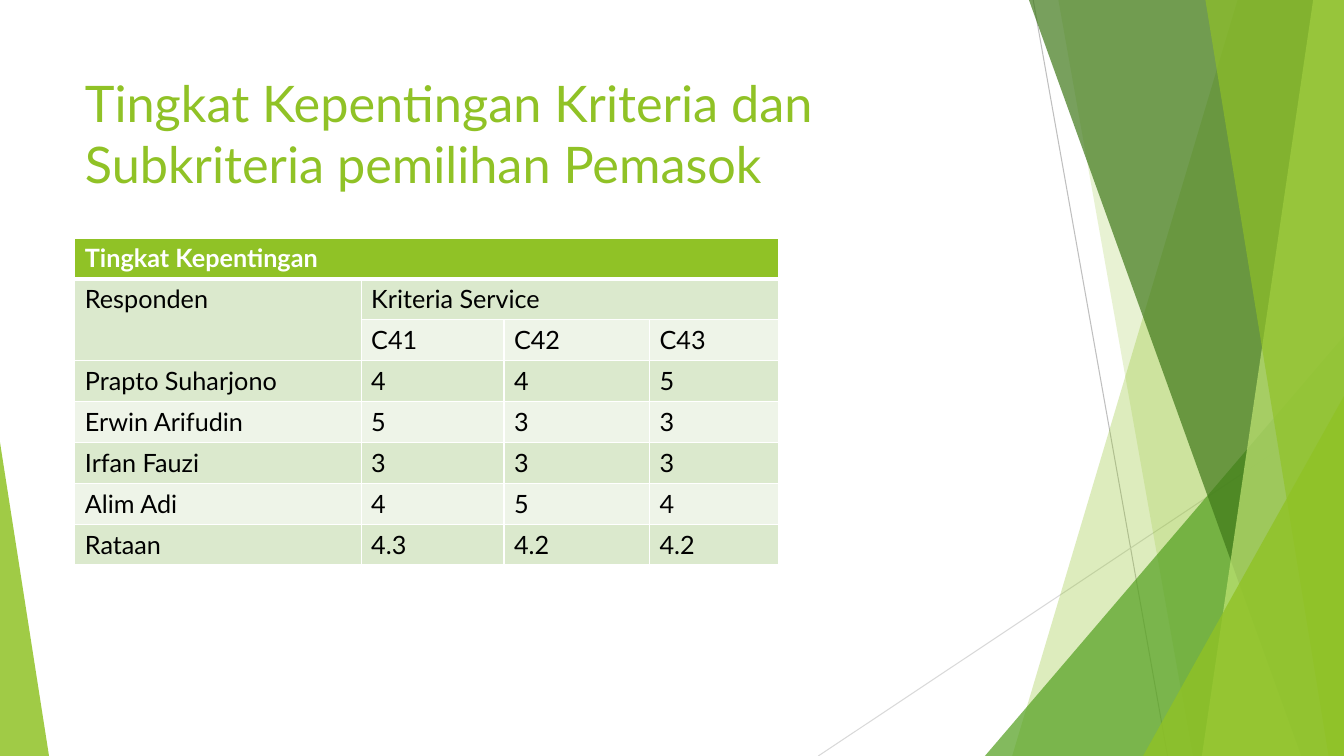
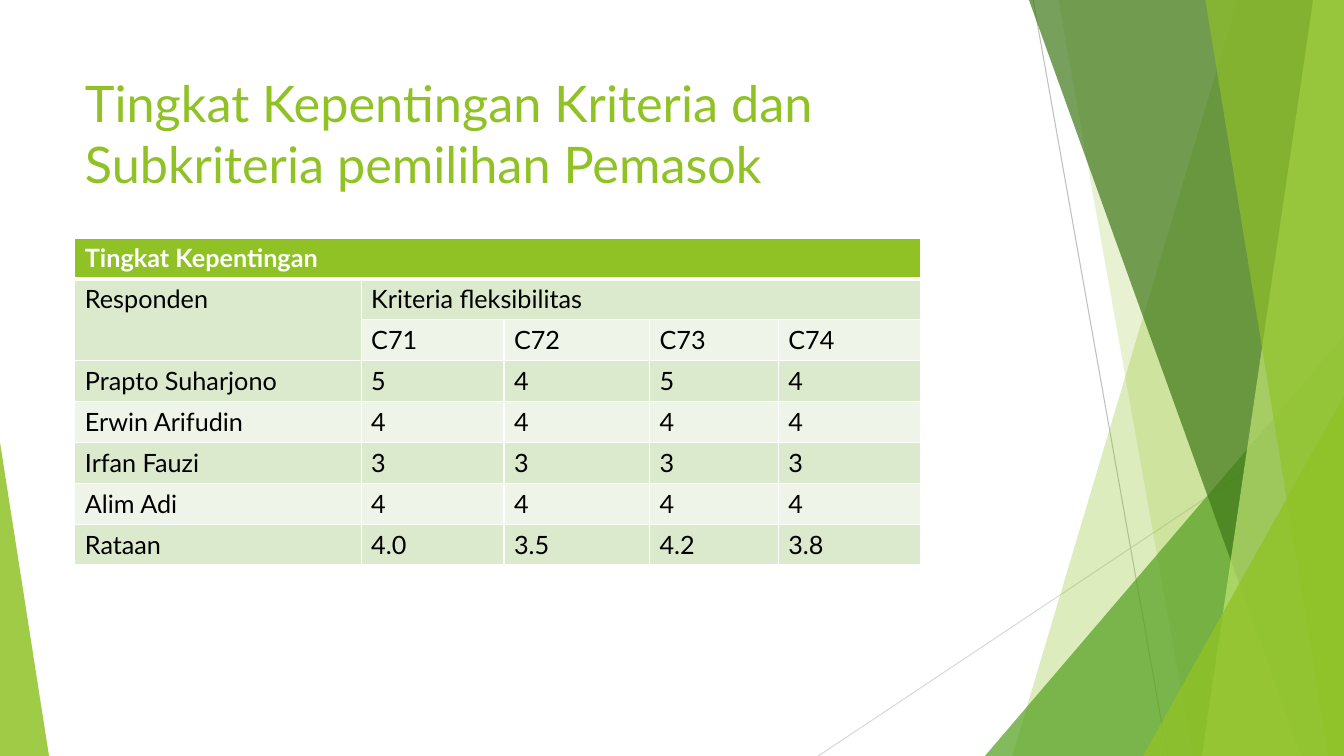
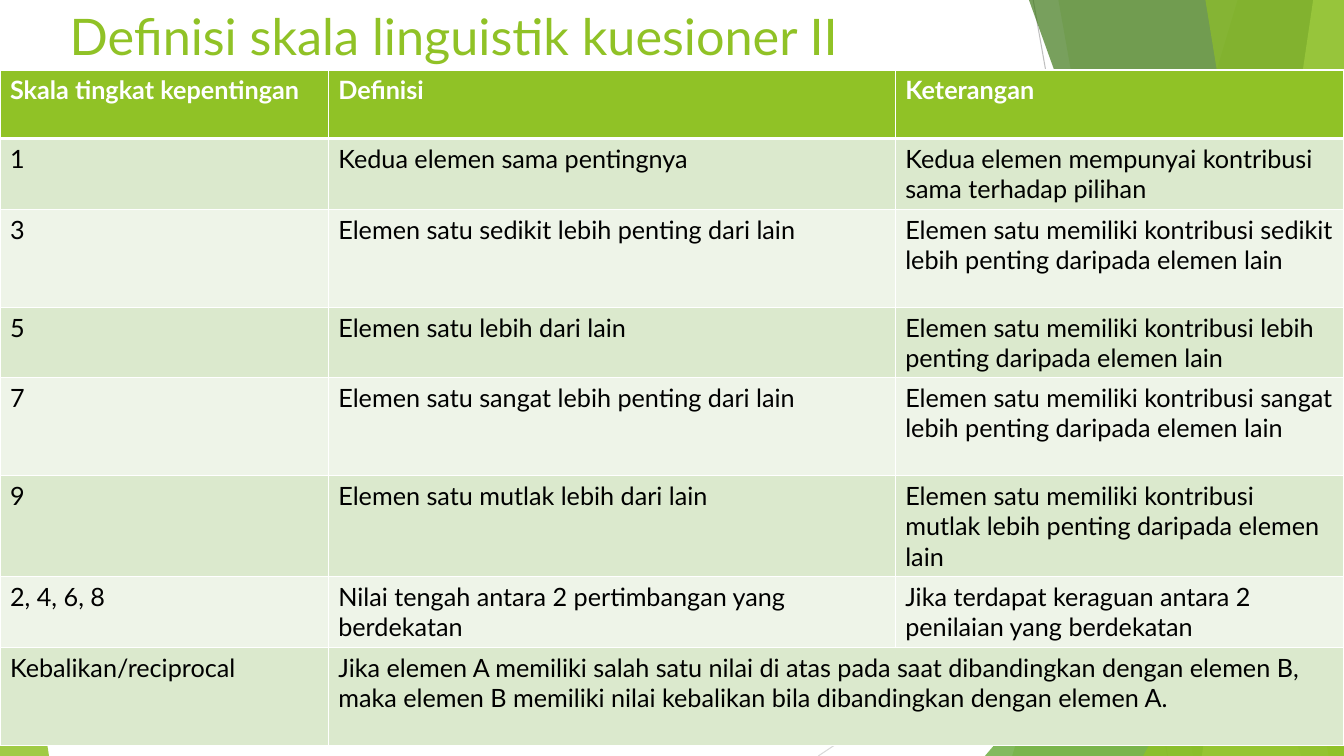
from lxml import etree
from pptx import Presentation
from pptx.dml.color import RGBColor
from pptx.enum import shapes as es, text as et
from pptx.oxml.ns import qn
from pptx.util import Pt

GREEN = RGBColor(0x90, 0xC2, 0x26)
LEAF = RGBColor(0x54, 0xA0, 0x21)
DARK = RGBColor(0x3F, 0x78, 0x19)
LIME = RGBColor(0xC0, 0xE4, 0x74)
GREY = RGBColor(0xBF, 0xBF, 0xBF)
PALE = RGBColor(0xD9, 0xD9, 0xD9)
WHITE = RGBColor(0xFF, 0xFF, 0xFF)
BLACK = RGBColor(0, 0, 0)
ROWS = RGBColor(0xEE, 0xF4, 0xE8), RGBColor(0xDB, 0xE9, 0xCD)
FONT = "Lato"
WIDE, HIGH = 960, 540

LINES = [(GREY, 738, 0, 834, HIGH), (PALE, WIDE, 290, 584.5, HIGH)]
BANDS = [
    (GREEN, 30, (884, 723)),
    (GREEN, 20, (756, 852)),
    (LEAF, 72, (703.5, 240, 256.5, 300, 1)),
    (DARK, 70, (735, 929.5)),
    (LIME, 70, (938, 858.5)),
    (GREEN, 65, (861, 949)),
    (GREEN, 80, (816.5, 283, 143.5, 257, 1)),
    (GREEN, 85, (0, 316, 35, 224, 0)),
]

RATING = "Tingkat Kepentingan Kriteria dan Subkriteria pemilihan Pemasok"
NAMES = ["Prapto Suharjono", "Erwin Arifudin", "Irfan Fauzi", "Alim Adi", "Rataan"]
COLS = [204.5, 102, 104, 92, 101.5]
SCORES = [
    ("Kriteria Service", ["C41", "C42", "C43"],
     ["4 4 5", "5 3 3", "3 3 3", "4 5 4", "4.3 4.2 4.2"]),
    ("Kriteria fleksibilitas", ["C71", "C72", "C73", "C74"],
     ["5 4 5 4", "4 4 4 4", "3 3 3 3", "4 4 4 4", "4.0 3.5 4.2 3.8"]),
]
SCALE = [
    ["Skala tingkat kepentingan", "Definisi", "Keterangan"],
    ["1", "Kedua elemen sama pentingnya",
     "Kedua elemen mempunyai kontribusi sama terhadap pilihan"],
    ["3", "Elemen satu sedikit lebih penting dari lain",
     "Elemen satu memiliki kontribusi sedikit lebih penting daripada elemen lain"],
    ["5", "Elemen satu lebih dari lain",
     "Elemen satu memiliki kontribusi lebih penting daripada elemen lain"],
    ["7", "Elemen satu sangat lebih penting dari lain",
     "Elemen satu memiliki kontribusi sangat lebih penting daripada elemen lain"],
    ["9", "Elemen satu mutlak lebih dari lain",
     "Elemen satu memiliki kontribusi mutlak lebih penting daripada elemen lain"],
    ["2, 4, 6, 8", "Nilai tengah antara 2 pertimbangan yang berdekatan",
     "Jika terdapat keraguan antara 2 penilaian yang berdekatan"],
    ["Kebalikan/reciprocal",
     "Jika elemen A memiliki salah satu nilai di atas pada saat dibandingkan dengan elemen B, "
     "maka elemen B memiliki nilai kebalikan bila dibandingkan dengan elemen A."],
]


def put(item, vals):
    for key, val in vals.items():
        setattr(item, key, val)


def place(item, left, top, width, height):
    put(item, {"left": Pt(left), "top": Pt(top), "width": Pt(width), "height": Pt(height)})


def tint(node, color):
    fill = etree.SubElement(node, qn("a:solidFill"))
    etree.SubElement(fill, qn("a:srgbClr")).set("val", str(color))


def set_title(lay):
    for extra in list(lay.placeholders)[1:]:
        extra.element.getparent().remove(extra.element)
    head = lay.placeholders[0]
    place(head, 53.5, 48, 677, 104)
    put(head.text_frame, {"vertical_anchor": et.MSO_ANCHOR.TOP, "word_wrap": True,
                          "auto_size": et.MSO_AUTO_SIZE.NONE})
    style = lay.slide_master.element.find(".//" + qn("p:titleStyle"))
    level = style.find(qn("a:lvl1pPr"))
    level.set("algn", "l")
    base = level.find(qn("a:defRPr"))
    for kid in list(base):
        base.remove(kid)
    base.set("sz", "3600")
    tint(base, GREEN)
    etree.SubElement(base, qn("a:latin")).set("typeface", FONT)


def add_decor(slide, lay):
    group = slide.shapes.add_group_shape()
    parts = group.shapes
    for color, *ends in LINES:
        line = parts.add_connector(es.MSO_CONNECTOR.STRAIGHT, *map(Pt, ends))
        line.line.color.rgb = color
        line.line.width = Pt(0.75)
        etree.SubElement(line.element.spPr, qn("a:effectLst"))
    for color, alpha, geom in BANDS:
        if len(geom) == 2:
            top, foot = map(Pt, geom)
            pen = parts.build_freeform(top, 0)
            pen.add_line_segments([(Pt(WIDE), 0), (Pt(WIDE), Pt(HIGH)), (foot, Pt(HIGH))])
            band = pen.convert_to_shape()
        else:
            *box, tip = geom
            band = parts.add_shape(es.MSO_SHAPE.ISOSCELES_TRIANGLE, *map(Pt, box))
            band.adjustments[0] = tip
        band.shadow.inherit = False
        band.fill.solid()
        band.fill.fore_color.rgb = color
        tone = band.element.spPr.find(".//" + qn("a:srgbClr"))
        etree.SubElement(tone, qn("a:alpha")).set("val", str(alpha * 1000))
        band.line.fill.background()
    lay.shapes.element.insert(2, group.element)


def set_cell(cell, row, label):
    edges = {"L": 1, "R": 1, "T": 3 if row == 1 else 1, "B": 3 if row == 0 else 1}
    props = cell._tc.get_or_add_tcPr()
    for side, size in edges.items():
        edge = etree.SubElement(props, qn("a:ln" + side))
        edge.set("w", str(Pt(size)))
        tint(edge, WHITE)
    cell.fill.solid()
    cell.fill.fore_color.rgb = ROWS[row % 2] if row else GREEN
    if label:
        run = cell.text_frame.paragraphs[0].add_run()
        run.text = label
        put(run.font, {"name": FONT, "size": Pt(18), "bold": row == 0})
        run.font.color.rgb = BLACK if row else WHITE


def add_grid(slide, left, top, cols, highs, rows, spans):
    frame = slide.shapes.add_table(len(rows), len(cols), Pt(left), Pt(top),
                                   Pt(sum(cols)), Pt(sum(highs)))
    grid = frame.table
    for col, width in zip(grid.columns, cols):
        col.width = Pt(width)
    for r, (row, high) in enumerate(zip(rows, highs)):
        grid.rows[r].height = Pt(high)
        for c in range(len(cols)):
            set_cell(grid.cell(r, c), r, row[c] if c < len(row) else "")
    for start, end in spans:
        grid.cell(*start).merge(grid.cell(*end))


def add_page(deck, lay, title):
    slide = deck.slides.add_slide(lay)
    slide.shapes.title.text = title
    return slide


def main():
    deck = Presentation()
    put(deck, {"slide_width": Pt(WIDE), "slide_height": Pt(HIGH)})
    lay = deck.slide_layouts[5]
    set_title(lay)

    for n, (group, codes, marks) in enumerate(SCORES):
        slide = add_page(deck, lay, RATING)
        if n == 0:
            add_decor(slide, lay)
        last = len(codes)
        rows = [["Tingkat Kepentingan"], ["Responden", group], ["", *codes]]
        rows += [[name, *mark.split()] for name, mark in zip(NAMES, marks)]
        spans = [((0, 0), (0, last)), ((1, 0), (2, 0)), ((1, 1), (1, last))]
        add_grid(slide, 53.5, 170, COLS[:last + 1], [29.2] * len(rows), rows, spans)

    slide = add_page(deck, lay, "Definisi skala linguistik kuesioner II")
    place(slide.shapes.title, 42.5, 0, 677, 70.5)
    highs = [49, 49, 70, 49, 70, 70, 49, 70]
    add_grid(slide, 0, 50, [234.5, 405, 320.5], highs, SCALE, [((7, 1), (7, 2))])
    deck.save("out.pptx")


if __name__ == "__main__":
    main()
